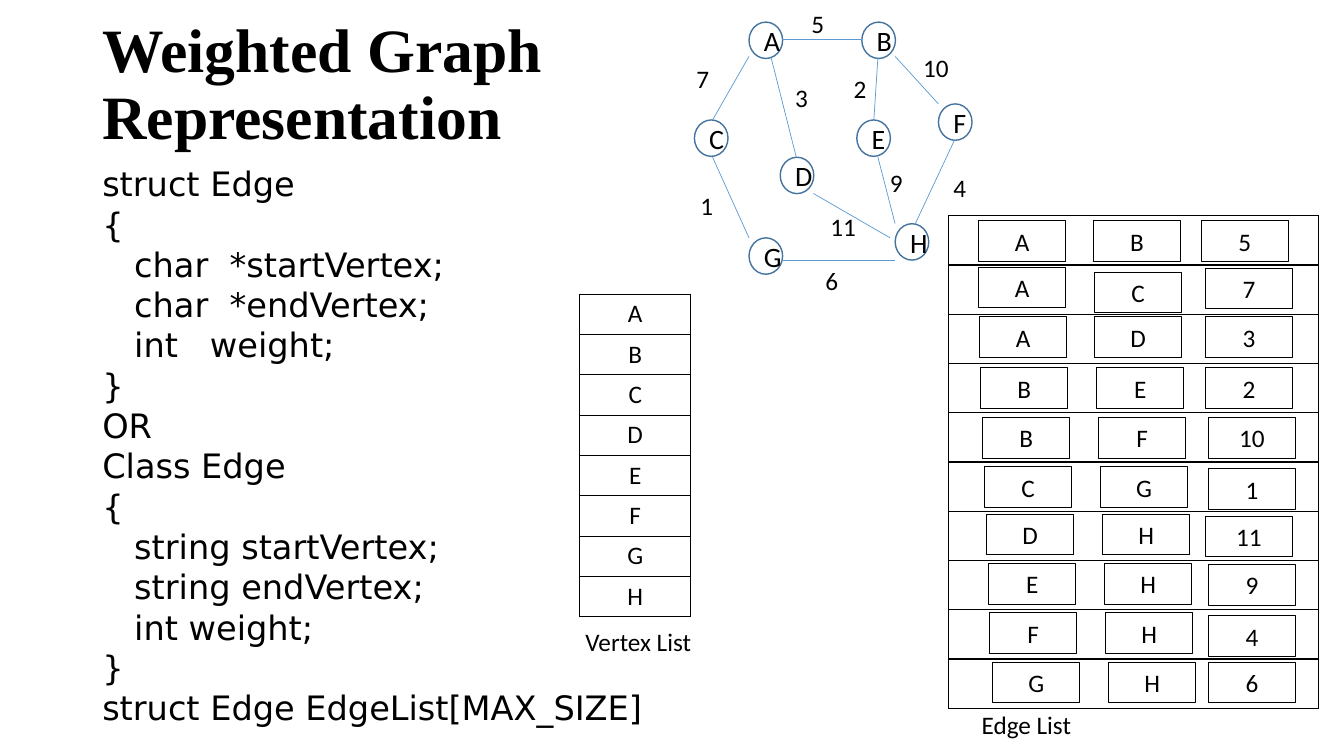
"""Build a slide on weighted graphs with a drawn graph, a vertex list and an edge list."""
from lxml.etree import SubElement
from pptx import Presentation
from pptx.dml.color import RGBColor
from pptx.enum.shapes import MSO_CONNECTOR, MSO_SHAPE
from pptx.enum.text import MSO_ANCHOR as Anchor, PP_ALIGN as Align
from pptx.oxml.ns import qn
from pptx.util import Pt

BLACK = RGBColor(0x00, 0x00, 0x00)
NODE_BLUE = RGBColor(0x43, 0x73, 0x9E)
EDGE_BLUE = RGBColor(0x5B, 0x9B, 0xD5)

TITLE_FONT = {"name": "Times New Roman", "size": Pt(44), "bold": True}
CODE_FONT = {"name": "DejaVu Sans", "size": Pt(24)}
NODE_FONT = {"name": "Calibri", "size": Pt(20)}
LIST_FONT = {"name": "Calibri", "size": Pt(18)}

CODE = """struct Edge
{
   char  *startVertex;
   char  *endVertex;
   int   weight;
}
OR
Class Edge
{
   string startVertex;
   string endVertex;
   int weight;
}
struct Edge EdgeList[MAX_SIZE]"""

NODES = {
    "C": (496, 85.7), "D": (557.3, 112.3), "G": (535, 169.9), "E": (612, 85.7),
    "F": (670.3, 74.2), "H": (639.4, 159.8), "A": (535, 15.8), "B": (615.6, 15.8),
}

# start, end, weight, line ends, label left/top/width, cell positions
EDGES = [
    ("A", "B", "5", (558.7, 28.1, 615.6, 28.1), (572.4, 2.2, 37.4),
     [(699.1, 157.7), (781.2, 157.7), (858.2, 157.7)]),
    ("A", "C", "7", (535, 40.3, 509, 85.7), (490.3, 41.8, 37.4),
     [(699.1, 190.8), (781.9, 194.4), (861.1, 191.5)]),
    ("A", "D", "3", (550.8, 41, 568.8, 112.3), (560.9, 55.4, 15.1),
     [(699.8, 226.1), (781.9, 226.1), (861.1, 226.1)]),
    ("B", "E", "2", (627.1, 41, 624.2, 85.7), (602.6, 49, 37.4),
     [(700.6, 262.8), (783.4, 262.8), (861.1, 262.8)]),
    ("B", "F", "10", (639.4, 40.3, 670.3, 74.2), (652.3, 33.8, 37.4),
     [(702, 298.1), (784.8, 298.1), (863.3, 298.1)]),
    ("C", "G", "1", (509, 112.3, 535, 169.9), (493.2, 132.5, 37.4),
     [(703.4, 333.4), (786.2, 333.4), (863.3, 334.8)]),
    ("D", "H", "11", (581, 138.2, 635.8, 169.9), (586.1, 147.6, 37.4),
     [(704.9, 367.2), (787.7, 367.2), (861.1, 368.6)]),
    ("E", "H", "9", (627.1, 112.3, 639.4, 159.8), (628.6, 115.9, 37.4),
     [(706.3, 402.5), (789.1, 402.5), (863.3, 403.2)]),
    ("F", "H", "4", (681.8, 100.1, 653.8, 159.8), (673.9, 119.5, 37.4),
     [(707, 437.8), (789.8, 437.8), (863.3, 439.9)]),
    ("G", "H", "6", (558.7, 185.8, 639.4, 185.8), (582.5, 185.8, 37.4),
     [(709.2, 473), (792, 473), (863.3, 473)]),
]


def write(frame, text, font, **layout):
    frame.word_wrap = True
    for index, line in enumerate(text.split("\n")):
        para = frame.add_paragraph() if index else frame.paragraphs[0]
        for key, value in layout.items():
            setattr(para, key, value)
        span = para.add_run()
        span.text = line
        span.font.color.rgb = BLACK
        for key, value in font.items():
            setattr(span.font, key, value)


def add_box(kind, place, text, font, color=None, width=None, **layout):
    area = [Pt(value) for value in place]
    if kind is None:
        box = slide.shapes.add_textbox(*area)
    else:
        box = slide.shapes.add_shape(kind, *area)
        box.shadow.inherit = False
        box.fill.background()
        box.line.color.rgb = color
        box.line.width = Pt(width)
        box.text_frame.vertical_anchor = Anchor.MIDDLE
    write(box.text_frame, text, font, **layout)
    return box


deck = Presentation()
deck.slide_width, deck.slide_height = Pt(960), Pt(540)
slide = deck.slides.add_slide(deck.slide_layouts[6])

title = add_box(None, (66, 9.4, 443, 104.4), "Weighted Graph Representation", TITLE_FONT,
                line_spacing=0.9)
title.text_frame.vertical_anchor = Anchor.MIDDLE

for name, (left, top) in NODES.items():
    add_box(MSO_SHAPE.OVAL, (left, top, 24, 26), name, NODE_FONT, NODE_BLUE, 1,
            alignment=Align.CENTER)

for start, end, weight, ends, label, cells in EDGES:
    edge = slide.shapes.add_connector(MSO_CONNECTOR.STRAIGHT, *[Pt(value) for value in ends])
    edge.line.color.rgb = EDGE_BLUE
    edge.line.width = Pt(0.5)
    SubElement(edge._element.spPr, qn("a:effectLst"))

add_box(None, (66, 113, 471, 414.7), CODE, CODE_FONT, line_spacing=Pt(28.8))

tables = [
    (414, 210.2, 79.5, 28.8, sorted(NODES)),
    (677.5, 154.1, 264.2, 35.2, [""] * len(EDGES)),
]
for left, top, width, row_height, entries in tables:
    table = slide.shapes.add_table(len(entries), 1, Pt(left), Pt(top), Pt(width),
                                   Pt(row_height * len(entries))).table
    table.first_row = table.horz_banding = False
    for row, entry in zip(table.rows, entries):
        row.height = Pt(row_height)
        cell = row.cells[0]
        cell.margin_top = cell.margin_bottom = Pt(3.3)
        if entry:
            write(cell.text_frame, entry, LIST_FONT, alignment=Align.CENTER)
        properties = cell._tc.get_or_add_tcPr()
        for side in ("a:lnL", "a:lnR", "a:lnT", "a:lnB"):
            border = SubElement(properties, qn(side), w=str(Pt(1)))
            fill = SubElement(border, qn("a:solidFill"))
            SubElement(fill, qn("a:srgbClr"), val=str(BLACK))
        cell.fill.background()

add_box(None, (411.1, 443.5, 99.4, 29.1), "Vertex List", LIST_FONT)
add_box(None, (694.1, 503.3, 99.4, 29.1), "Edge List", LIST_FONT)

for start, end, weight, ends, label, cells in EDGES:
    for text, (left, top) in zip((start, end, weight), cells):
        add_box(MSO_SHAPE.RECTANGLE, (left, top, 62, 29.1), text, LIST_FONT, BLACK, 0.75,
                alignment=Align.CENTER)
    add_box(None, (*label, 29.1), weight, LIST_FONT)

deck.save("out.pptx")
